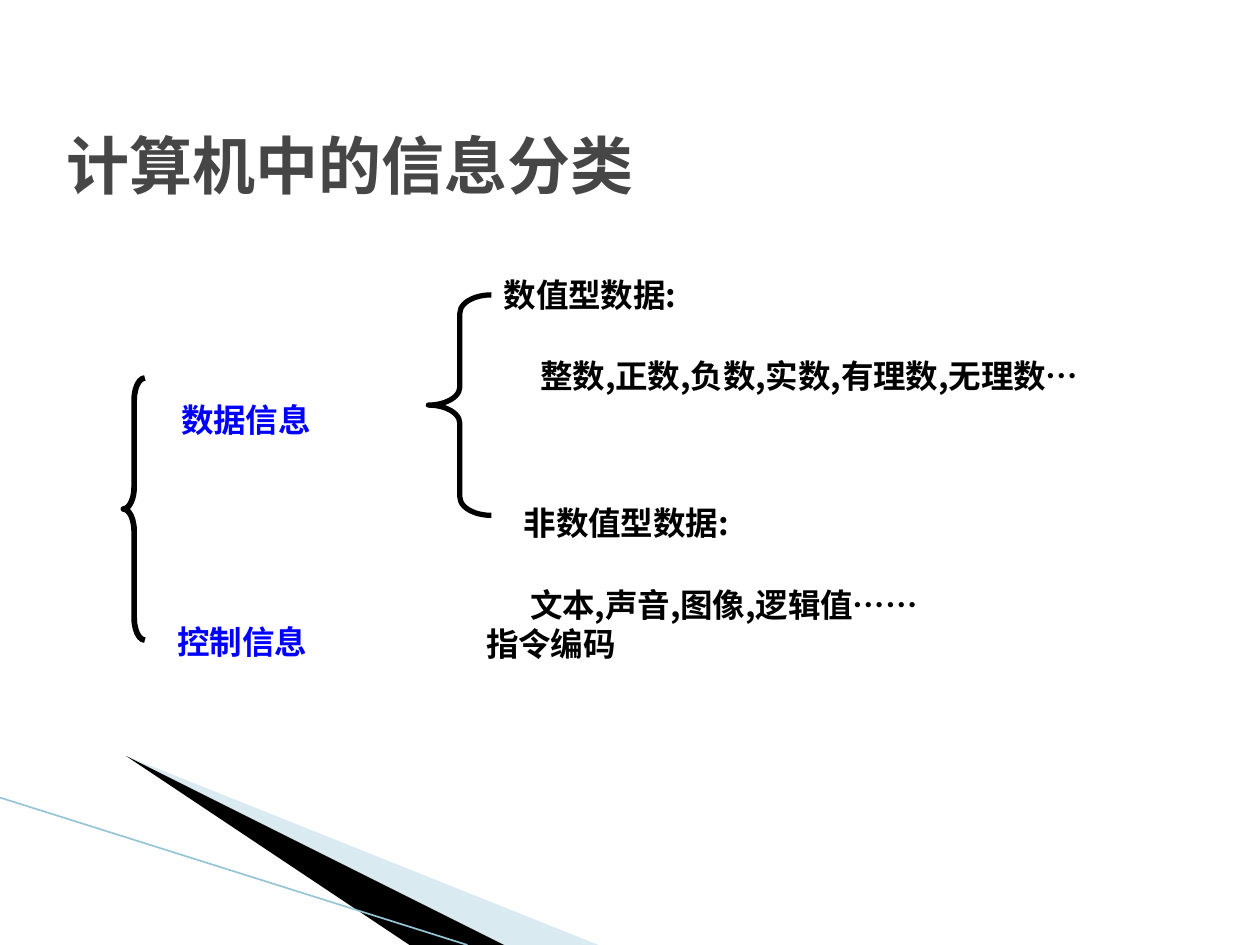
from lxml import etree
from pptx import Presentation
from pptx.dml.color import RGBColor
from pptx.enum.shapes import MSO_CONNECTOR, MSO_SHAPE
from pptx.enum.text import MSO_ANCHOR
from pptx.oxml.ns import qn
from pptx.util import Inches, Pt

WIDTH, HEIGHT = 10, 7.5
LEFT_BRACE = MSO_SHAPE.LEFT_BRACE
STRAIGHT = MSO_CONNECTOR.STRAIGHT
MIDDLE, TOP = MSO_ANCHOR.MIDDLE, MSO_ANCHOR.TOP
COLORS = {"title": "464646", "text": "000000", "category": "0000FF",
          "pale": "A0CBDC", "dark": "000000", "edge": "97C5D8"}
TITLE_FONT, BODY_FONT = "Noto Sans Mono", "Noto Sans CJK SC"


def color(name):
    return RGBColor.from_string(COLORS[name])


def add_text(slide, box, paragraphs, size=32, font=BODY_FONT, fill="text",
             anchor=TOP, baseline=-25, space_before=50, line_spacing=None):
    """Place (text, first-line indent in inches) paragraphs in a box."""
    frame = slide.shapes.add_textbox(*map(Inches, box)).text_frame
    frame.word_wrap = True
    frame.vertical_anchor = anchor
    for index, (text, indent) in enumerate(paragraphs):
        paragraph = frame.add_paragraph() if index else frame.paragraphs[0]
        paragraph.line_spacing = line_spacing
        properties = paragraph._p.get_or_add_pPr()
        properties.set("indent", str(Inches(indent)))
        if space_before:
            paragraph.space_before = Pt(0)
            spacing = properties.find(qn("a:spcBef"))
            spacing.clear()
            etree.SubElement(spacing, qn("a:spcPct"), val=str(space_before * 1000))
        run = paragraph.add_run()
        run.text = text
        run.font.size, run.font.bold, run.font.name = Pt(size), True, font
        run.font.color.rgb = color(fill)
        run_properties = run._r.get_or_add_rPr()
        etree.SubElement(run_properties, qn("a:ea"), typeface=font)
        if baseline:
            run_properties.set("baseline", str(baseline * 1000))


def add_brace(slide, box, curve, weight):
    brace = slide.shapes.add_shape(LEFT_BRACE, *map(Inches, box))
    brace.adjustments[0], brace.adjustments[1] = curve, 0.5
    brace.shadow.inherit = False
    brace.fill.background()
    brace.line.color.rgb = color("text")
    brace.line.width = Pt(weight)


def add_wedge(slide, points, fill, opacity=100):
    builder = slide.shapes.build_freeform(*points[0], scale=Inches(1))
    builder.add_line_segments(points[1:], close=True)
    wedge = builder.convert_to_shape()
    wedge.shadow.inherit = False
    wedge.fill.solid()
    wedge.fill.fore_color.rgb = color(fill)
    wedge.line.fill.background()
    if opacity < 100:
        tone = wedge._element.spPr.find(qn("a:solidFill"))[0]
        etree.SubElement(tone, qn("a:alpha"), val=str(opacity * 1000))


def add_corner(slide, box):
    """Sweeping wedges and edge line along the bottom."""
    left, top, width, height = box
    right, bottom = left + width, top + height
    tip = top + 0.17
    add_wedge(slide, [(left + 0.55, tip), (right, bottom),
                      (left + 4.56, bottom), (left + 0.55, tip)], "pale", 40)
    add_wedge(slide, [(left + 0.53, tip - 0.01), (left + 4.57, bottom),
                      (left + 3.72, bottom), (left + 0.54, tip)], "dark")
    edge = slide.shapes.add_connector(
        STRAIGHT, *map(Inches, (left, top, left + 3.71, bottom)))
    edge.line.color.rgb = color("edge")
    edge.line.width = Pt(0.95)
    etree.SubElement(edge._element.spPr, qn("a:effectLst"))


def add_categories(slide, box):
    """Outer brace with the two kinds of information."""
    left, top, width, height = box
    add_brace(slide, (left, top, 0.17, height), 1.04, 3.25)
    for text, x, y in (("数据信息", 0.36, -0.17), ("控制信息", 0.33, 1.59)):
        add_text(slide, (left + x, top + y, width - x, 0.63), [(text, 0)],
                 fill="category")


def add_details(slide, box):
    """Inner brace with data types, and the control entry below."""
    left, top, width, height = box
    add_brace(slide, (left, top + 0.4, 0.5, 1.75), 0.29, 3)
    entries = (
        (0.5, 0, 1.47, [("数值型数据:", 0),
                        ("整数,正数,负数,实数,有理数,无理数…", 0.29)]),
        (0.66, 1.81, 1.21, [("非数值型数据:", 0),
                            ("文本,声音,图像,逻辑值……", 0.05)]),
        (0.36, height - 0.47, 0.47, [("指令编码", 0)]),
    )
    for x, y, entry_height, paragraphs in entries:
        add_text(slide, (left + x, top + y, width - x, entry_height),
                 paragraphs, line_spacing=0.7)


def main():
    presentation = Presentation()
    presentation.slide_width = Inches(WIDTH)
    presentation.slide_height = Inches(HEIGHT)
    slide = presentation.slides.add_slide(presentation.slide_layouts[6])
    add_corner(slide, (0, 6.33, 5.95, HEIGHT - 6.33))
    add_text(slide, (0.43, 0.68, 8.35, 1.25), [("计算机中的信息分类", 0)],
             size=36, font=TITLE_FONT, fill="title", anchor=MIDDLE,
             baseline=0, space_before=0)
    add_categories(slide, (0.98, 3, 2.4, 2.08))
    add_details(slide, (3.4, 1.94, 6.25, 3.24))
    presentation.save("out.pptx")


if __name__ == "__main__":
    main()
